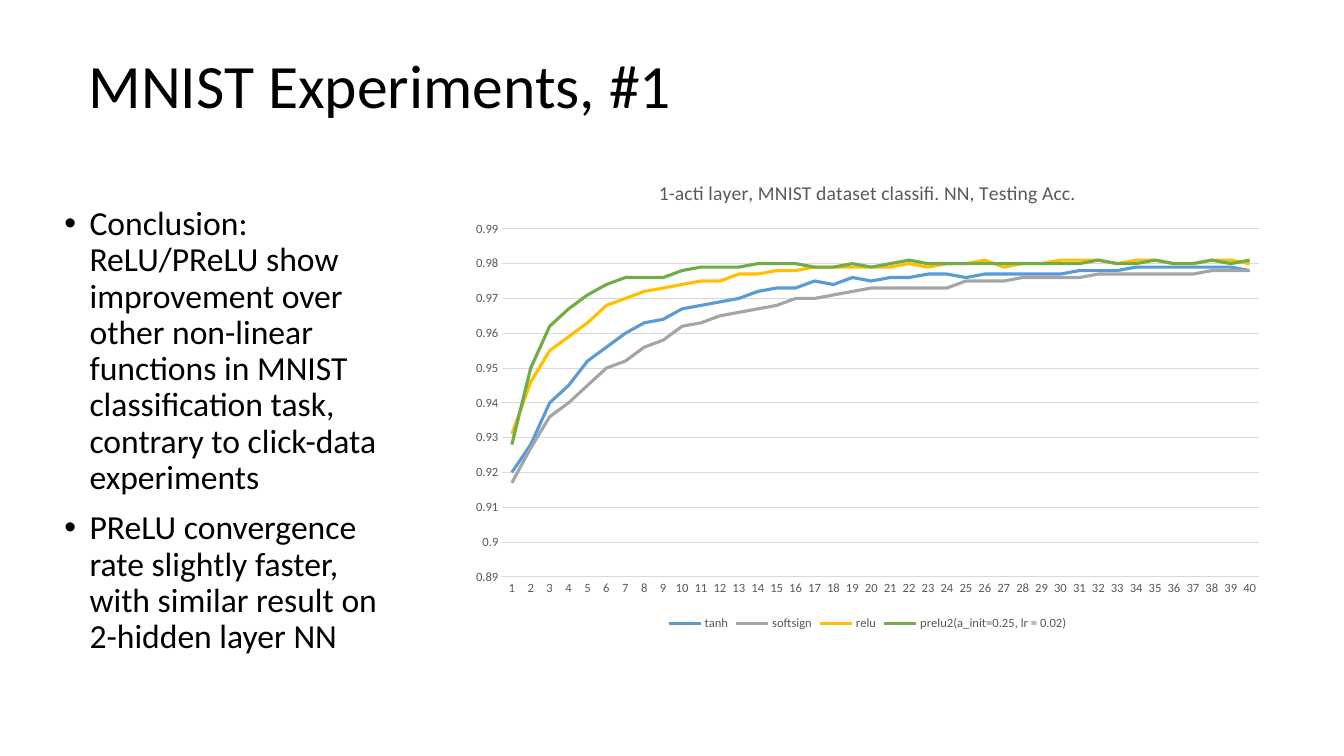
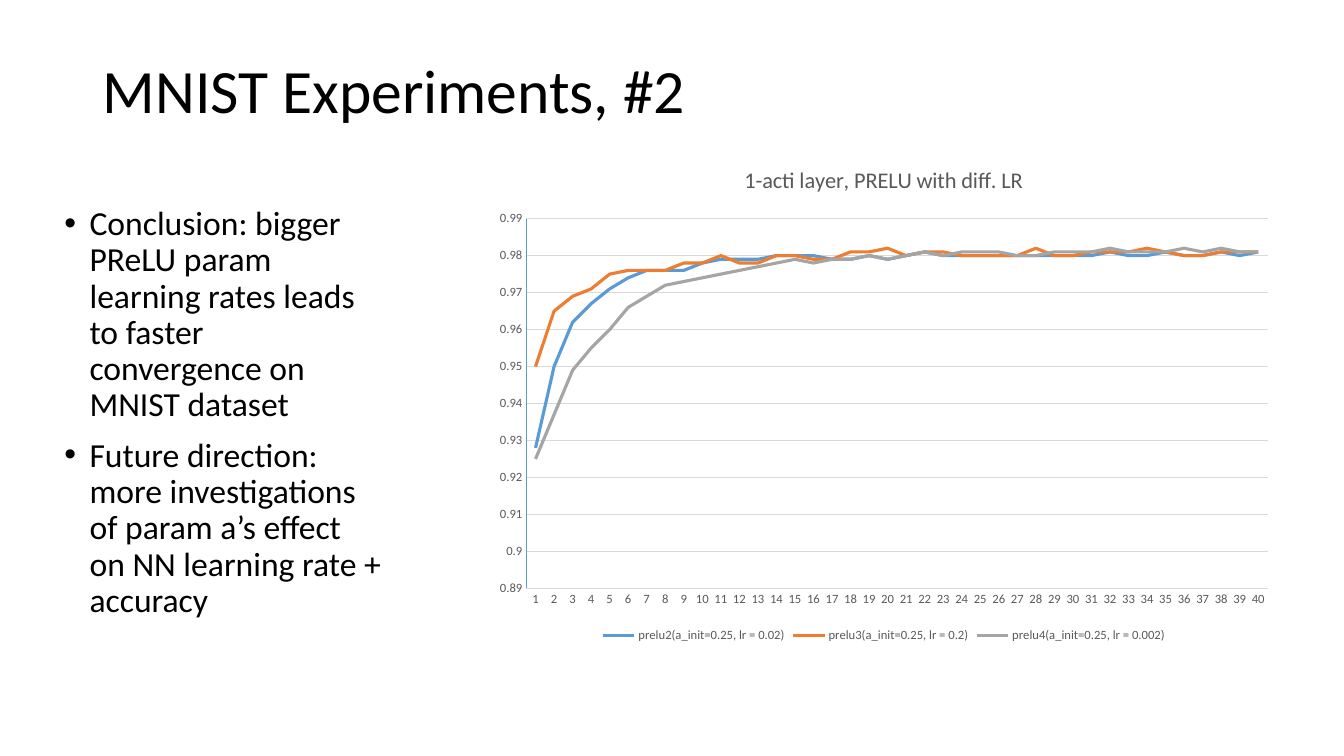
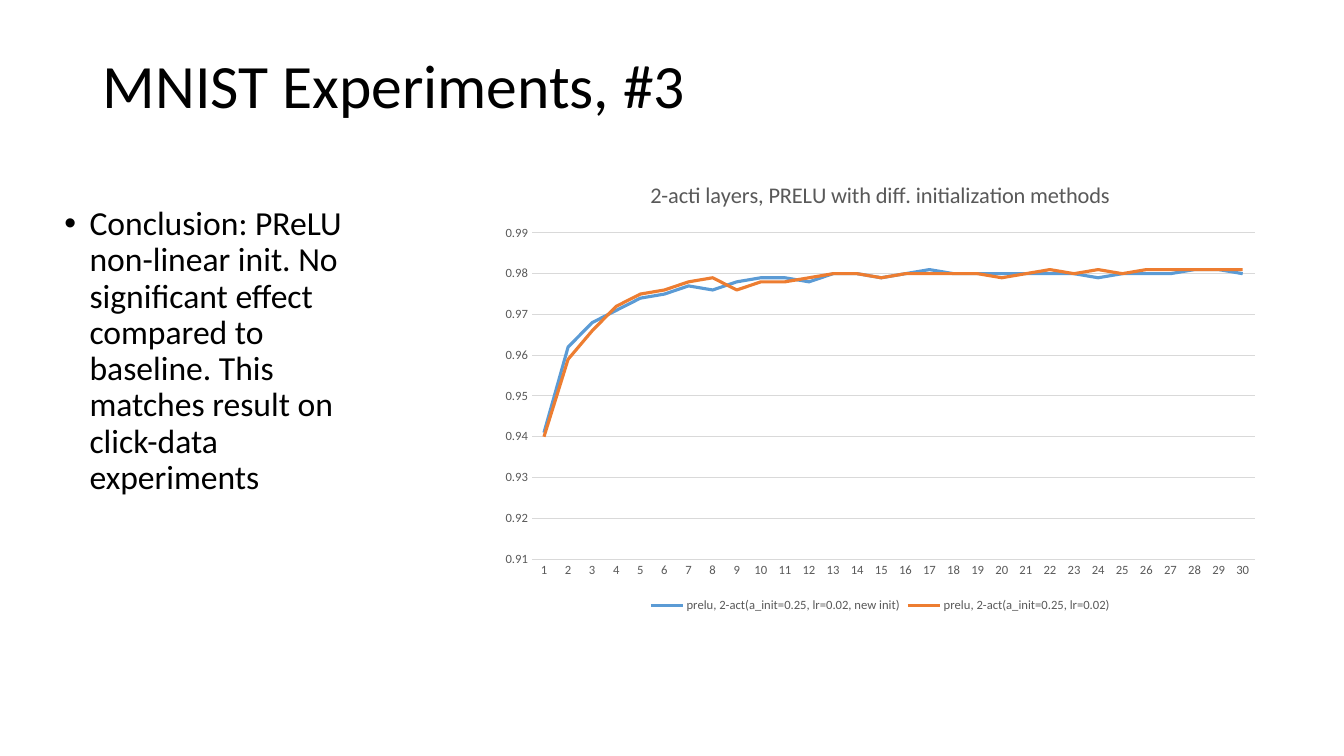
from lxml import etree
from pptx import Presentation
from pptx.chart.data import CategoryChartData
from pptx.dml.color import RGBColor
from pptx.enum import chart as ch, text
from pptx.oxml.ns import qn
from pptx.util import Inches, Pt

FONT = "Calibri"
BLACK = RGBColor(0x00, 0x00, 0x00)
LABEL_GRAY = RGBColor(0x59, 0x59, 0x59)
RULE_GRAY = RGBColor(0xD9, 0xD9, 0xD9)
BLUE = RGBColor(0x5B, 0x9B, 0xD5)
ORANGE = RGBColor(0xED, 0x7D, 0x31)
GRAY = RGBColor(0xA5, 0xA5, 0xA5)
GOLD = RGBColor(0xFF, 0xC0, 0x00)
GREEN = RGBColor(0x70, 0xAD, 0x47)

TITLE_SIZE = (11.5, 1.45)
CONCLUSION_BOX = (0.54, 2, 3.36, 4.76)
HANGING = Inches(0.25)

TANH = [
    0.92, 0.928, 0.94, 0.945, 0.952, 0.956, 0.96, 0.963, 0.964, 0.967,
    0.968, 0.969, 0.97, 0.972, 0.973, 0.973, 0.975, 0.974, 0.976, 0.975,
    0.976, 0.976, 0.977, 0.977, 0.976, 0.977, 0.977, 0.977, 0.977, 0.977,
    0.978, 0.978, 0.978, 0.979, 0.979, 0.979, 0.979, 0.979, 0.979, 0.978]
SOFTSIGN = [
    0.917, 0.927, 0.936, 0.94, 0.945, 0.95, 0.952, 0.956, 0.958, 0.962,
    0.963, 0.965, 0.966, 0.967, 0.968, 0.97, 0.97, 0.971, 0.972, 0.973,
    0.973, 0.973, 0.973, 0.973, 0.975, 0.975, 0.975, 0.976, 0.976, 0.976,
    0.976, 0.977, 0.977, 0.977, 0.977, 0.977, 0.977, 0.978, 0.978, 0.978]
RELU = [
    0.931, 0.946, 0.955, 0.959, 0.963, 0.968, 0.97, 0.972, 0.973, 0.974,
    0.975, 0.975, 0.977, 0.977, 0.978, 0.978, 0.979, 0.979, 0.979, 0.979,
    0.979, 0.98, 0.979, 0.98, 0.98, 0.981, 0.979, 0.98, 0.98, 0.981,
    0.981, 0.981, 0.98, 0.981, 0.981, 0.98, 0.98, 0.981, 0.981, 0.98]
PRELU2 = [
    0.928, 0.95, 0.962, 0.967, 0.971, 0.974, 0.976, 0.976, 0.976, 0.978,
    0.979, 0.979, 0.979, 0.98, 0.98, 0.98, 0.979, 0.979, 0.98, 0.979,
    0.98, 0.981, 0.98, 0.98, 0.98, 0.98, 0.98, 0.98, 0.98, 0.98,
    0.98, 0.981, 0.98, 0.98, 0.981, 0.98, 0.98, 0.981, 0.98, 0.981]
PRELU3 = [
    0.95, 0.965, 0.969, 0.971, 0.975, 0.976, 0.976, 0.976, 0.978, 0.978,
    0.98, 0.978, 0.978, 0.98, 0.98, 0.979, 0.979, 0.981, 0.981, 0.982,
    0.98, 0.981, 0.981, 0.98, 0.98, 0.98, 0.98, 0.982, 0.98, 0.98,
    0.981, 0.981, 0.981, 0.982, 0.981, 0.98, 0.98, 0.981, 0.981, 0.981]
PRELU4 = [
    0.925, 0.937, 0.949, 0.955, 0.96, 0.966, 0.969, 0.972, 0.973, 0.974,
    0.975, 0.976, 0.977, 0.978, 0.979, 0.978, 0.979, 0.979, 0.98, 0.979,
    0.98, 0.981, 0.98, 0.981, 0.981, 0.981, 0.98, 0.98, 0.981, 0.981,
    0.981, 0.982, 0.981, 0.981, 0.981, 0.982, 0.981, 0.982, 0.981, 0.981]
NEW_INIT = [
    0.941, 0.962, 0.968, 0.971, 0.974, 0.975, 0.977, 0.976, 0.978, 0.979,
    0.979, 0.978, 0.98, 0.98, 0.979, 0.98, 0.981, 0.98, 0.98, 0.98,
    0.98, 0.98, 0.98, 0.979, 0.98, 0.98, 0.98, 0.981, 0.981, 0.98]
BASELINE = [
    0.94, 0.959, 0.966, 0.972, 0.975, 0.976, 0.978, 0.979, 0.976, 0.978,
    0.978, 0.979, 0.98, 0.98, 0.979, 0.98, 0.98, 0.98, 0.98, 0.979,
    0.98, 0.981, 0.98, 0.981, 0.98, 0.981, 0.981, 0.981, 0.981, 0.981]

PRELU2_NAME = "prelu2(a_init=0.25, lr = 0.02)"

EXPERIMENTS = [
    dict(
        title="MNIST Experiments, #1",
        title_at=(0.78, 0.15),
        conclusions=[
            "Conclusion: ReLU/PReLU show improvement over other non-linear "
            "functions in MNIST classification task, contrary to click-data "
            "experiments",
            "PReLU convergence rate slightly faster, with similar result on "
            "2-hidden layer NN"],
        chart_box=(4.56, 1.6, 8.09, 4.7),
        chart=dict(
            title="1-acti layer, MNIST dataset classifi. NN, Testing Acc.",
            title_size=14, minimum=0.89,
            curves=[("tanh", TANH, BLUE), ("softsign", SOFTSIGN, GRAY),
                    ("relu", RELU, GOLD), (PRELU2_NAME, PRELU2, GREEN)])),
    dict(
        title="MNIST Experiments, #2",
        title_at=(0.92, 0.2),
        conclusions=[
            "Conclusion: bigger PReLU param learning rates leads to faster "
            "convergence on MNIST dataset",
            "Future direction: more investigations of param a’s effect on NN "
            "learning rate + accuracy"],
        chart_box=(4.8, 1.44, 7.93, 4.98),
        chart=dict(
            title="1-acti layer, PRELU with diff. LR",
            minimum=0.89, value_line=BLUE,
            curves=[(PRELU2_NAME, PRELU2, BLUE),
                    ("prelu3(a_init=0.25, lr = 0.2)", PRELU3, ORANGE),
                    ("prelu4(a_init=0.25, lr = 0.002)", PRELU4, GRAY)])),
    dict(
        title="MNIST Experiments, #3",
        title_at=(0.92, 0.15),
        conclusions=[
            "Conclusion: PReLU non-linear init. No significant effect compared "
            "to baseline. This matches result on click-data experiments"],
        chart_box=(4.86, 1.6, 7.74, 4.52),
        chart=dict(
            title="2-acti layers, PRELU with diff. initialization methods",
            minimum=0.91,
            curves=[("prelu, 2-act(a_init=0.25, lr=0.02, new init)", NEW_INIT, BLUE),
                    ("prelu, 2-act(a_init=0.25, lr=0.02)", BASELINE, ORANGE)])),
]


def set_font(font, size, color):
    font.name = FONT
    font.size = Pt(size)
    font.bold = False
    font.color.rgb = color


def set_line(line, color, width=0.75):
    line.color.rgb = color
    line.width = Pt(width)


def add_text(slide, box, paragraphs, size, color=BLACK, bullet=None,
             space_before=0, anchor=text.MSO_ANCHOR.TOP):
    frame = slide.shapes.add_textbox(*map(Inches, box)).text_frame
    frame.word_wrap = True
    frame.vertical_anchor = anchor
    for index, wording in enumerate(paragraphs):
        paragraph = frame.add_paragraph() if index else frame.paragraphs[0]
        paragraph.line_spacing = 0.9
        paragraph.space_before = Pt(space_before)
        run = paragraph.add_run()
        run.text = wording
        set_font(run.font, size, color)
        if bullet:
            props = paragraph._p.get_or_add_pPr()
            props.set("marL", str(HANGING))
            props.set("indent", str(-HANGING))
            etree.SubElement(props, qn("a:buFont")).set("typeface", "Arial")
            etree.SubElement(props, qn("a:buChar")).set("char", bullet)


def style_axis(axis, line_color):
    axis.major_tick_mark = axis.minor_tick_mark = ch.XL_TICK_MARK.NONE
    set_font(axis.tick_labels.font, 9, LABEL_GRAY)
    if line_color is None:
        axis.format.line.fill.background()
    else:
        set_line(axis.format.line, line_color)


def add_accuracy_chart(slide, box, title, curves, minimum, title_size=16,
                       value_line=None):
    """Line chart of accuracy per epoch; curves are (name, values, color)."""
    data = CategoryChartData()
    data.categories = [str(epoch + 1) for epoch in range(len(curves[0][1]))]
    for name, values, _ in curves:
        data.add_series(name, values)
    chart = slide.shapes.add_chart(
        ch.XL_CHART_TYPE.LINE, *map(Inches, box), data).chart
    set_font(chart.font, 10, BLACK)

    chart.has_title = True
    heading = chart.chart_title.text_frame.paragraphs[0].add_run()
    heading.text = title
    set_font(heading.font, title_size, LABEL_GRAY)

    chart.has_legend = True
    chart.legend.position = ch.XL_LEGEND_POSITION.BOTTOM
    chart.legend.include_in_layout = False
    set_font(chart.legend.font, 9, LABEL_GRAY)

    style_axis(chart.category_axis, RULE_GRAY)
    accuracy = chart.value_axis
    style_axis(accuracy, value_line)
    accuracy.minimum_scale = minimum
    accuracy.maximum_scale = 0.99
    accuracy.major_unit = 0.01
    accuracy.has_major_gridlines = True
    set_line(accuracy.major_gridlines.format.line, RULE_GRAY)

    plot = chart.plots[0]
    plot.vary_by_categories = False
    for curve, (_, _, color) in zip(plot.series, curves):
        curve.smooth = False
        set_line(curve.format.line, color, 2.25)


def add_experiment(deck, title, title_at, conclusions, chart_box, chart):
    slide = deck.slides.add_slide(deck.slide_layouts[6])
    add_text(slide, title_at + TITLE_SIZE, [title], 44,
             anchor=text.MSO_ANCHOR.MIDDLE)
    add_text(slide, CONCLUSION_BOX, conclusions, 24, bullet="•",
             space_before=10)
    add_accuracy_chart(slide, chart_box, **chart)


def main():
    deck = Presentation()
    deck.slide_width, deck.slide_height = Inches(13.33), Inches(7.5)
    for experiment in EXPERIMENTS:
        add_experiment(deck, **experiment)
    deck.save("out.pptx")


if __name__ == "__main__":
    main()
